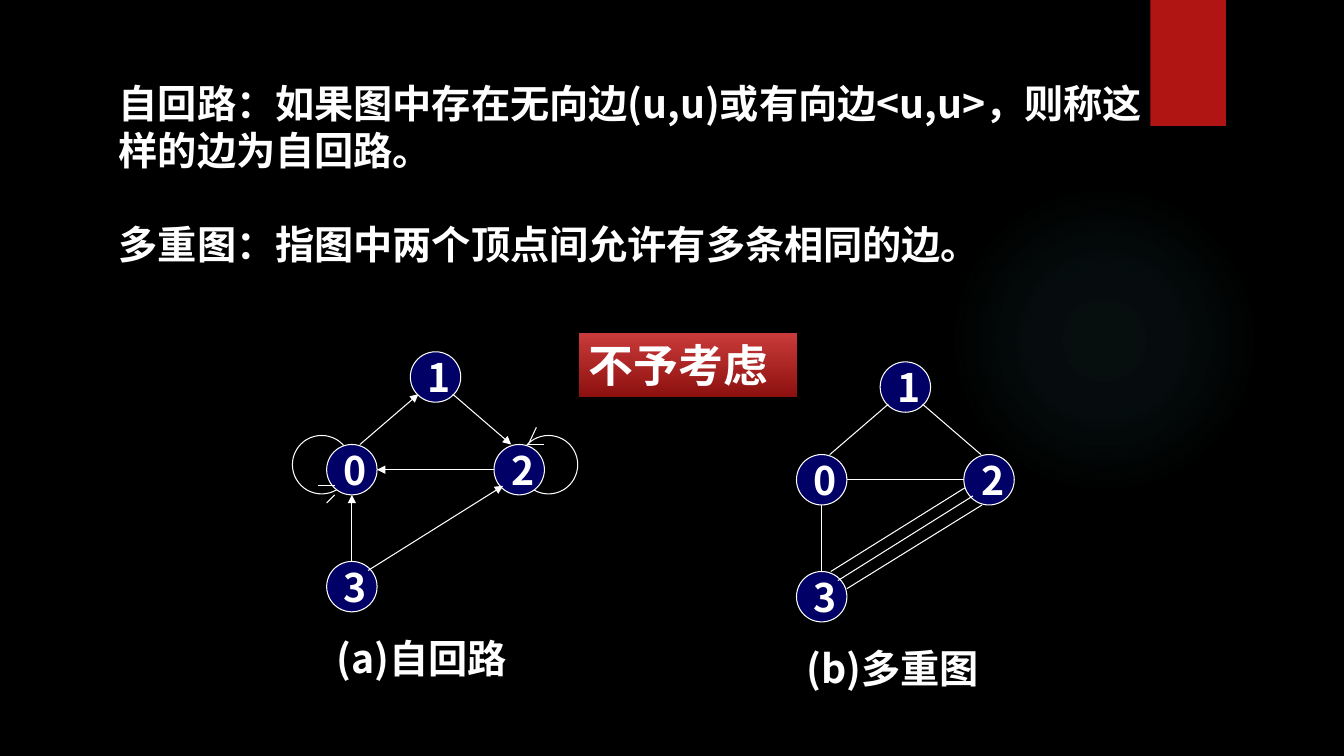
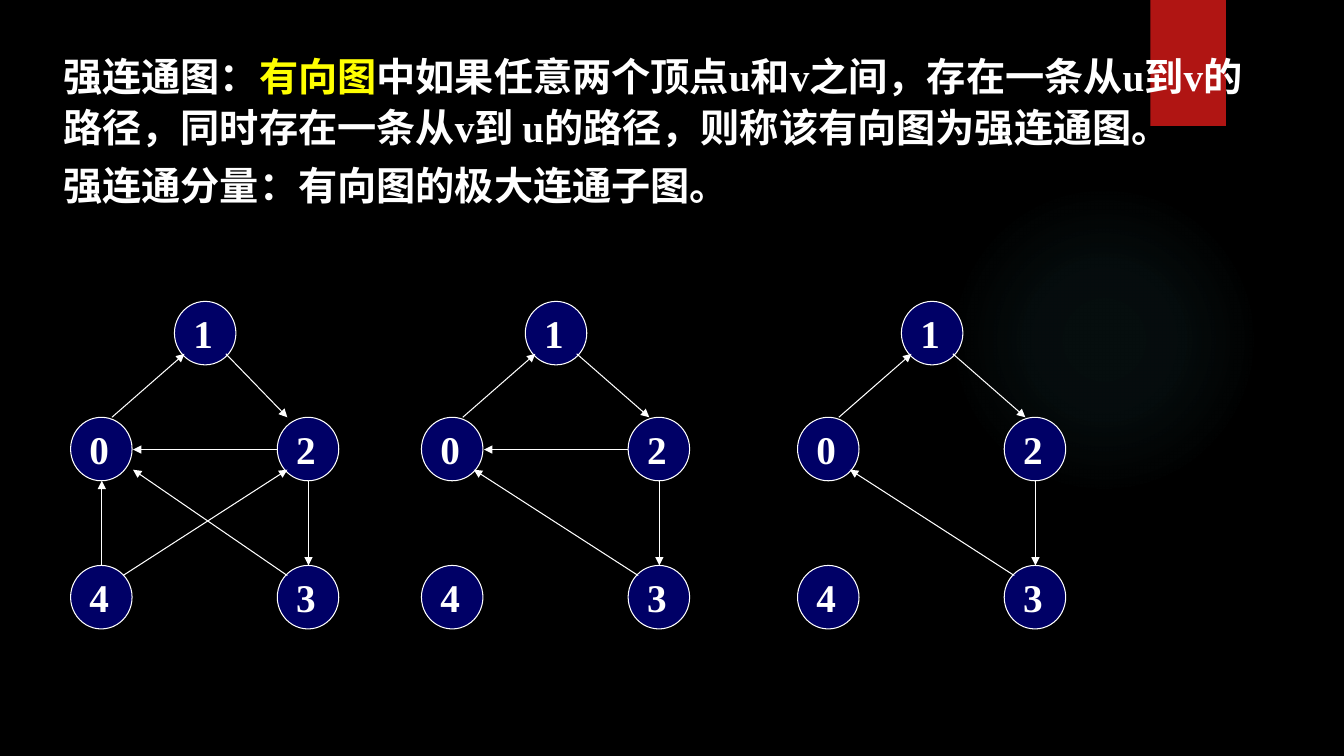
"""Build two slides on self-loops, multigraphs and strong connectivity."""
from lxml.etree import SubElement
from pptx import Presentation
from pptx.dml.color import RGBColor
from pptx.enum.shapes import MSO_CONNECTOR, MSO_SHAPE
from pptx.enum.text import MSO_ANCHOR
from pptx.oxml import parse_xml
from pptx.oxml.ns import nsdecls, qn
from pptx.util import Inches, Pt

SANS, SERIF, ROUND = "Noto Sans CJK SC", "Times New Roman", "Quicksand"
WHITE, BLACK, NAVY, RED, YELLOW = "FFFFFF", "000000", "000066", "B01513", "FFFF00"
rgb = RGBColor.from_string


def write(p, text, font=SANS, size=28, color=WHITE, spacing=None, before=None):
    """Add a bold run to a paragraph."""
    if spacing:
        p.line_spacing = Pt(spacing)
    if before:
        p.space_before = Pt(before)
    r = p.add_run()
    r.text = text
    r.font.name, r.font.size, r.font.bold = font, Pt(size), True
    r.font.color.rgb = rgb(color)
    SubElement(r.font._element, qn("a:ea")).set("typeface", SANS)


def add_shape(s, kind, x, y, w, h, fill=None, line=None):
    """Add a preset shape with a plain fill and outline."""
    sp = s.shapes.add_shape(kind, Inches(x), Inches(y), Inches(w), Inches(h))
    sp.shadow.inherit = False
    if fill:
        sp.fill.solid()
        sp.fill.fore_color.rgb = rgb(fill)
    else:
        sp.fill.background()
    if line:
        sp.line.color.rgb = rgb(line)
        sp.line.width = Pt(0.75)
    else:
        sp.line.fill.background()
    return sp


prs = Presentation()
prs.slide_width, prs.slide_height = Inches(13.33), Inches(7.5)
master = prs.slide_master
master.background.fill.solid()
master.background.fill.fore_color.rgb = rgb(BLACK)
loops, strong = [prs.slides.add_slide(prs.slide_layouts[6]) for _ in range(2)]

glow = add_shape(loops, MSO_SHAPE.OVAL, 9.41, 1.83, 3.08, 3.08, RED)
stops = "".join(
    f'<a:gs pos="{pos}000"><a:srgbClr val="50B9C1"><a:alpha val="{alpha}000"/></a:srgbClr></a:gs>'
    for pos, alpha in [(0, 7), (36, 6), (69, 0)])
spPr = glow.element.spPr
spPr.replace(spPr.find(qn("a:solidFill")), parse_xml(
    f'<a:gradFill {nsdecls("a")}><a:gsLst>{stops}</a:gsLst><a:path path="circle">'
    '<a:fillToRect l="50000" t="50000" r="50000" b="50000"/></a:path></a:gradFill>'))
band = add_shape(loops, MSO_SHAPE.RECTANGLE, 11.41, 0, 0.75, 1.25, RED)
for i, sp in enumerate([glow, band]):
    sp.element.nvSpPr.cNvPr.set("id", str(100 + i))
    master.shapes.element.append(sp.element)

for x in (2.9, 5.15):
    add_shape(loops, MSO_SHAPE.OVAL, x, 4.32, 0.58, 0.58, line=WHITE)

texts = [
    (loops, 1.08, 0.74, 10.66, 1.99, SANS, 33.6, 33.6, [
        [("自回路：如果图中存在无向边(u,u)或有向边<u,u>，则称这样的边为自回路。", WHITE)],
        [("多重图：指图中两个顶点间允许有多条相同的边。", WHITE)]]),
    (loops, 3.24, 6.24, 2.25, 0.57, SANS, 33.6, 0, [[("(a)自回路", WHITE)]]),
    (loops, 7.9, 6.34, 2.25, 0.57, SANS, 33.6, 0, [[("(b)多重图", WHITE)]]),
    (strong, 0.53, 0.42, 11.97, 1.66, SERIF, 37, 4, [
        [("强连通图：", WHITE), ("有向图", YELLOW),
         ("中如果任意两个顶点u和v之间，存在一条从u到v的路径，"
          "同时存在一条从v到 u的路径，则称该有向图为强连通图。", WHITE)],
        [("强连通分量：有向图的极大连通子图。", WHITE)]]),
]
for s, x, y, w, h, font, spacing, gap, paragraphs in texts:
    tf = s.shapes.add_textbox(Inches(x), Inches(y), Inches(w), Inches(h)).text_frame
    tf.word_wrap = True
    for i, runs in enumerate(paragraphs):
        p = tf.add_paragraph() if i else tf.paragraphs[0]
        for text, color in runs:
            write(p, text, font=font, color=color, spacing=spacing, before=gap if i else None)

small = {"1": (0.83, 0), "0": (0, 0.92), "2": (1.66, 0.92), "3": (0, 2.08)}
large = {"1": (1.03, 0), "0": (0, 1.15), "2": (2.05, 1.15), "3": (2.05, 2.62), "4": (0, 2.62)}
small_edges = [
    (0.33, 0.92, 0.91, 0.42), (1.25, 0.42, 1.83, 0.92), (1.66, 1.17, 0.5, 1.17),
    (0.25, 2.08, 0.25, 1.42), (0.41, 2.17, 1.75, 1.33)]
loop_heads = [
    (2, 0.92, 2.08, 0.75), (2, 0.92, 2.16, 0.92),
    (0.08, 1.42, 0, 1.5), (0.08, 1.33, -0.09, 1.33)]
parallels = [(0.34, 2.08, 1.67, 1.25), (0.5, 2.25, 1.84, 1.42)]
ring = [(0.41, 1.15, 1.13, 0.52), (2.36, 1.78, 2.36, 2.62)]
right, right_short = (1.54, 0.52, 2.26, 1.15), (1.54, 0.52, 2.15, 1.15)
across = (2.05, 1.47, 0.62, 1.47)
back, back_short = (2.15, 2.72, 0.52, 1.67), (2.15, 2.72, 0.62, 1.67)
from_4 = [(0.31, 2.62, 0.31, 1.78), (0.52, 2.72, 2.15, 1.67)]

graphs = [
    (loops, 3.24, 3.49, 0.5, 0.5, SANS, small, small_edges, loop_heads),
    (loops, 7.9, 3.59, 0.5, 0.5, SANS, small, [], small_edges + parallels),
    (strong, 0.7, 2.99, 0.61, 0.63, SERIF, large,
     ring + [right_short, across, back_short] + from_4, []),
    (strong, 4.18, 2.99, 0.61, 0.63, SERIF, large, ring + [right, across, back], []),
    (strong, 7.91, 2.99, 0.61, 0.63, SERIF, large, ring + [right, back], []),
]
for s, x, y, w, h, font, nodes, arrows, lines in graphs:
    for label, (dx, dy) in nodes.items():
        sp = add_shape(s, MSO_SHAPE.OVAL, x + dx, y + dy, w, h, NAVY, WHITE)
        tf = sp.text_frame
        tf.word_wrap = False
        tf.vertical_anchor = MSO_ANCHOR.MIDDLE
        p = tf.paragraphs[0]
        p.alignment = None
        write(p, label, font=font)
    for i, (x1, y1, x2, y2) in enumerate(arrows + lines):
        cn = s.shapes.add_connector(
            MSO_CONNECTOR.STRAIGHT, Inches(x + x1), Inches(y + y1), Inches(x + x2), Inches(y + y2))
        cn.line.color.rgb = rgb(WHITE)
        cn.line.width = Pt(0.75)
        if i < len(arrows):
            SubElement(cn.line._get_or_add_ln(), qn("a:tailEnd")).set("type", "triangle")
        SubElement(cn.element.spPr, qn("a:effectLst"))

note = add_shape(loops, MSO_SHAPE.RECTANGLE, 5.74, 3.3, 2.17, 0.64)
note.fill.gradient()
note.fill.gradient_angle = 270
for stop, color in zip(note.fill.gradient_stops, ("C93B3A", "8D110F")):
    stop.color.rgb = rgb(color)
tf = note.text_frame
tf.word_wrap = True
tf.vertical_anchor = MSO_ANCHOR.TOP
p = tf.paragraphs[0]
p.alignment = None
write(p, "不予考虑", font=ROUND, size=32, spacing=38.4)

prs.save("out.pptx")
